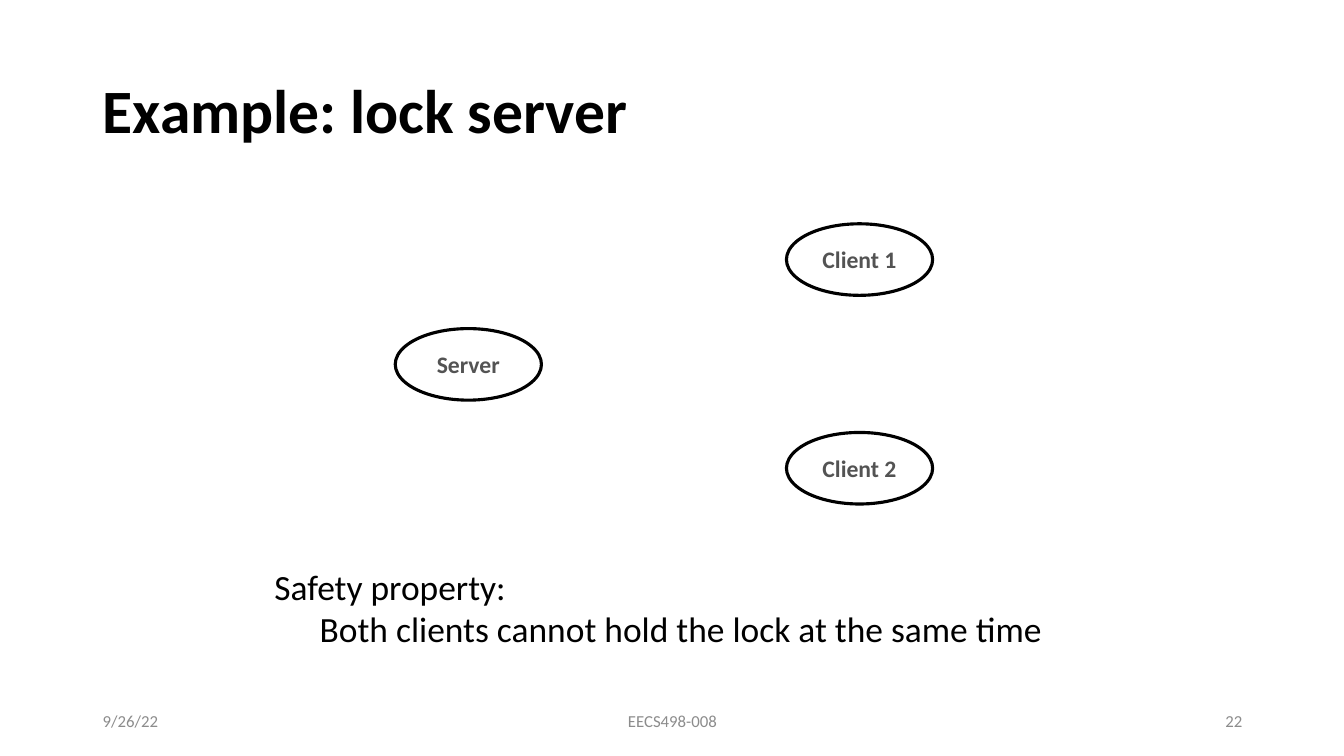
"""Build the lock server example slide."""
from pptx import Presentation
from pptx.dml.color import RGBColor
from pptx.enum.shapes import MSO_SHAPE
from pptx.enum.text import MSO_ANCHOR, PP_ALIGN
from pptx.util import Inches, Pt

OVAL, RECT = MSO_SHAPE.OVAL, MSO_SHAPE.RECTANGLE
MIDDLE = MSO_ANCHOR.MIDDLE
LEFT, CENTER, RIGHT = PP_ALIGN.LEFT, PP_ALIGN.CENTER, PP_ALIGN.RIGHT

TITLE = "Example: lock server"
NODES = [("Server", 3.92, 3.26), ("Client 1", 7.8, 2.22), ("Client 2", 7.8, 4.29)]
PROPERTY = ["Safety property:", "Both clients cannot hold the lock at the same time"]
FOOTERS = [("9/26/22", 0.92, 3, LEFT), ("EECS498-008", 4.42, 4.5, CENTER),
           ("22", 9.42, 3, RIGHT)]

OVAL_W, OVAL_H = 1.45, 0.71
LABEL_W, LABEL_H = 0.94, 0.36
TIGHT = (0.04, 0.04)
NORMAL = (0.1, 0.05)
TAB = 0.45

TITLE_FONT = {"size": Pt(44), "bold": True}
NODE_FONT = {"size": Pt(16.9), "bold": True}
BODY_FONT = {"size": Pt(25.3)}
FOOTER_FONT = {"size": Pt(12)}


def rgb(value):
    return RGBColor.from_string(value)


def write(sp, lines, fmt, color, align=LEFT, inset=NORMAL, wrap=True):
    tf = sp.text_frame
    tf.word_wrap = wrap
    tf.vertical_anchor = MIDDLE
    tf.margin_left = tf.margin_right = Inches(inset[0])
    tf.margin_top = tf.margin_bottom = Inches(inset[1])
    for i, line in enumerate(lines):
        p = tf.add_paragraph() if i else tf.paragraphs[0]
        p.alignment = align
        r = p.add_run()
        r.text = line
        r.font.name = "Calibri"
        r.font.color.rgb = rgb(color)
        for name, value in fmt.items():
            setattr(r.font, name, value)
    return tf


def text_box(s, box, *args, **kwargs):
    return write(s.shapes.add_textbox(*map(Inches, box)), *args, **kwargs)


def white_shape(group, kind, *box):
    sp = group.shapes.add_shape(kind, *map(Inches, box))
    sp.shadow.inherit = False
    sp.fill.solid()
    sp.fill.fore_color.rgb = rgb("FFFFFF")
    return sp


def add_node(s, name, x, y):
    group = s.shapes.add_group_shape()
    oval = white_shape(group, OVAL, x, y, OVAL_W, OVAL_H)
    oval.line.color.rgb = rgb("000000")
    oval.line.width = Pt(2.25)
    label = white_shape(group, RECT, x + (OVAL_W - LABEL_W) / 2,
                        y + (OVAL_H - LABEL_H) / 2, LABEL_W, LABEL_H)
    label.line.fill.background()
    write(label, [name], NODE_FONT, "535353", CENTER, TIGHT, wrap=False)


def main():
    prs = Presentation()
    prs.slide_width, prs.slide_height = Inches(13.33), Inches(7.5)
    s = prs.slides.add_slide(prs.slide_layouts[6])

    tf = text_box(s, (0.92, 0.4, 11.5, 1.45), [TITLE], TITLE_FONT, "000000")
    tf.paragraphs[0].line_spacing = 0.9
    for node in NODES:
        add_node(s, *node)
    tf = text_box(s, (2.68, 5.56, 8.71, 0.93), PROPERTY, BODY_FONT, "000000", inset=TIGHT)
    pPr = tf.paragraphs[1]._p.get_or_add_pPr()
    pPr.set("marL", str(Inches(TAB)))
    pPr.set("indent", "0")
    for text, x, w, align in FOOTERS:
        text_box(s, (x, 6.95, w, 0.4), [text], FOOTER_FONT, "8C8C8C", align)

    prs.save("out.pptx")


if __name__ == "__main__":
    main()
